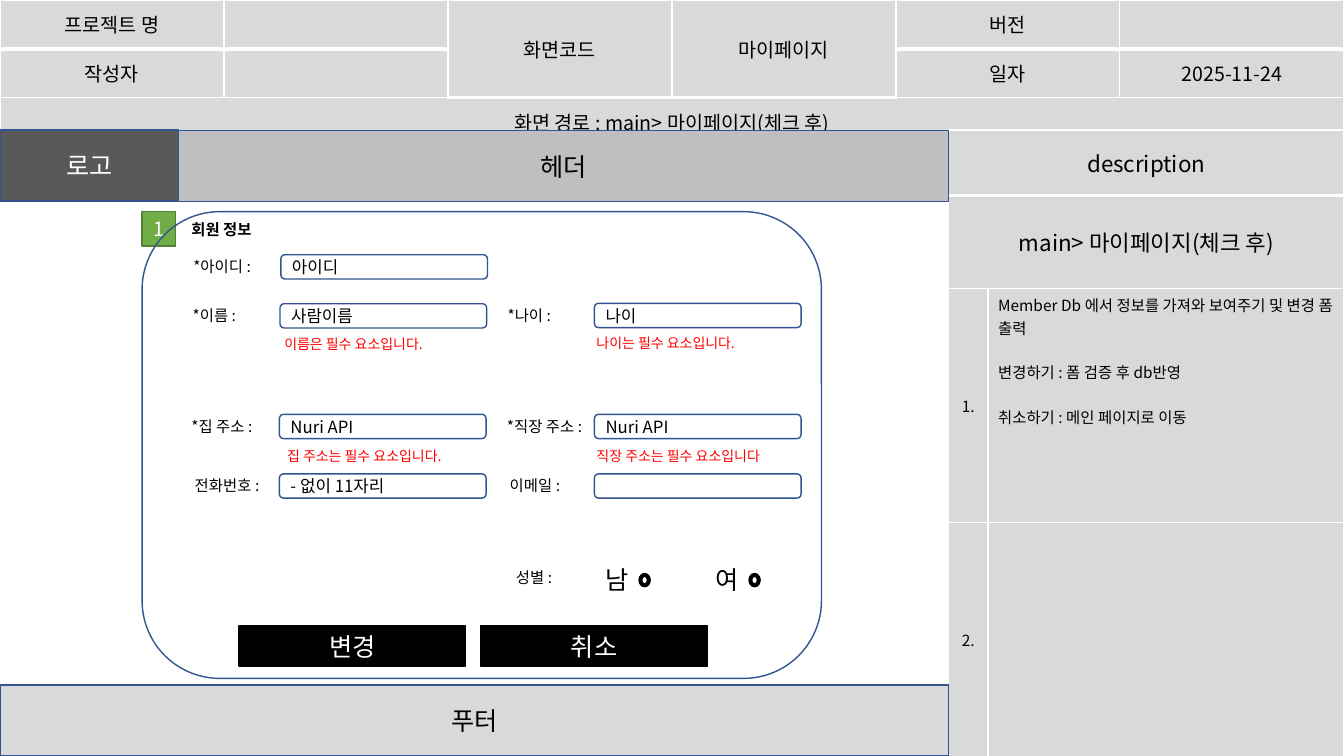
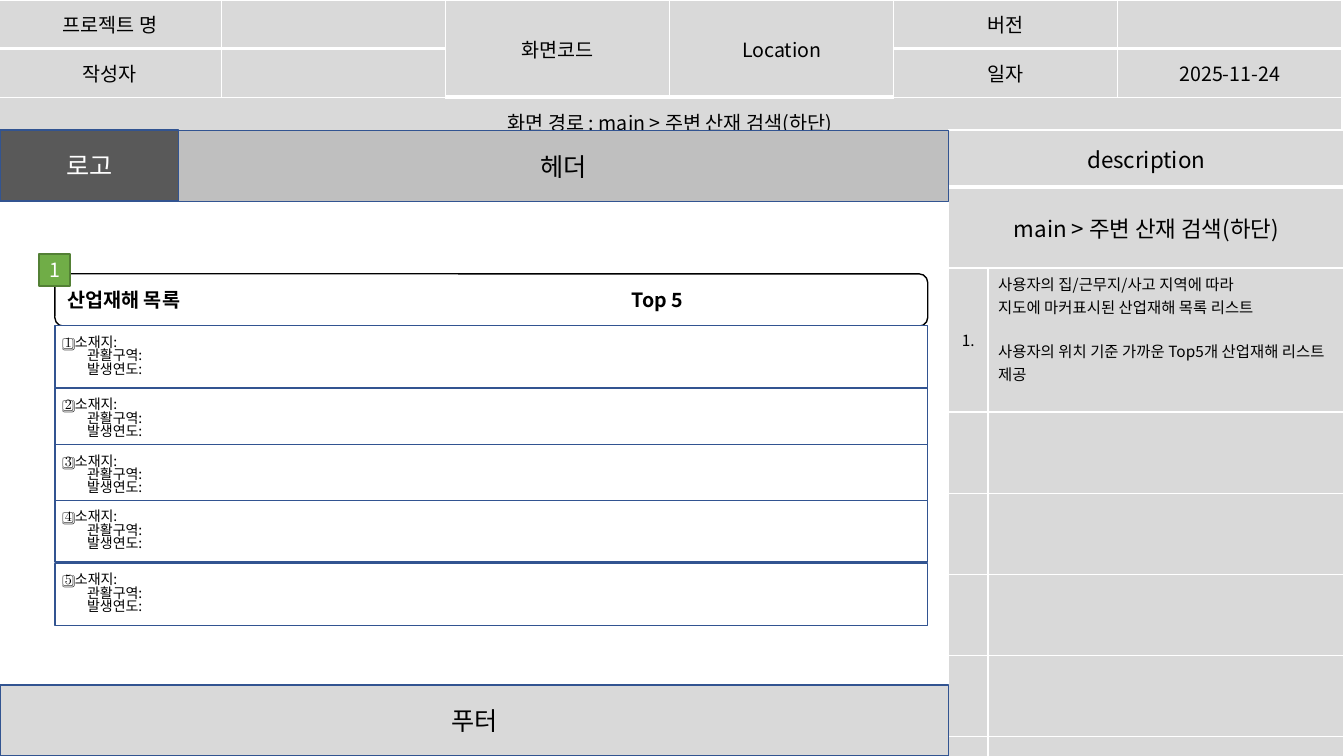
from dataclasses import dataclass

from lxml import etree
from pptx import Presentation
from pptx import util as u
from pptx.dml.color import RGBColor
from pptx.enum import shapes, text
from pptx.oxml import ns

Pt = u.Pt
Kind = shapes.MSO_SHAPE
Align = text.PP_ALIGN
Anchor = text.MSO_ANCHOR


@dataclass(frozen=True)
class Theme:
    font: str = "Noto Sans CJK KR"
    ink: str = "000000"
    paper: str = "FFFFFF"
    panel: str = "D9D9D9"
    header: str = "BFBFBF"
    logo: str = "595959"
    outline: str = "325491"
    badge: str = "70AD47"
    badge_line: str = "538035"
    error: str = "FF0000"
    big: int = 18
    heading: int = 16
    title: int = 14
    field: int = 12
    body: int = 11
    small: int = 10


THEME = Theme()


class Wireframe:
    """Holds the style, the deck and the current page."""

    def __init__(self, theme):
        self.theme = theme
        self.deck = Presentation()
        self.deck.slide_width, self.deck.slide_height = Pt(960), Pt(540)
        self.page = None

    def new_page(self):
        self.page = self.deck.slides.add_slide(self.deck.slide_layouts[6])

    # Text
    def fill_text(self, frame, lines, size, color=None, align=Align.LEFT,
                  bold=False, spacing=None, indent=0, tab=None):
        frame.word_wrap = True
        for index, line in enumerate(lines):
            para = frame.paragraphs[0] if index == 0 else frame.add_paragraph()
            formats = {"alignment": align, "line_spacing": spacing}
            for name, value in formats.items():
                setattr(para, name, value)
            properties = para._p.get_or_add_pPr()
            if index and indent:
                properties.set("marL", str(Pt(indent)))
            if tab:
                stops = etree.SubElement(properties, ns.qn("a:tabLst"))
                etree.SubElement(stops, ns.qn("a:tab"), pos=str(Pt(tab)), algn="l")
            span = para.add_run()
            span.text = line
            fonts = {"name": self.theme.font, "size": Pt(size), "bold": bold}
            for name, value in fonts.items():
                setattr(span.font, name, value)
            span.font.color.rgb = RGBColor.from_string(color or self.theme.ink)
            etree.SubElement(span._r.get_or_add_rPr(), ns.qn("a:ea"),
                             typeface=self.theme.font)

    def label(self, left, top, width, height, words, size, **style):
        box = self.page.shapes.add_textbox(Pt(left), Pt(top), Pt(width), Pt(height))
        self.fill_text(box.text_frame, [words], size, **style)

    # Shapes
    def shape(self, left, top, width, height, fill=None, line=None,
              kind=Kind.RECTANGLE, lines=(), size=THEME.big, **style):
        box = self.page.shapes.add_shape(kind, Pt(left), Pt(top), Pt(width), Pt(height))
        box.shadow.inherit = False
        if fill:
            box.fill.solid()
            box.fill.fore_color.rgb = RGBColor.from_string(fill)
        else:
            box.fill.background()
        box.line.color.rgb = RGBColor.from_string(line or self.theme.outline)
        box.line.width = Pt(1)
        box.text_frame.vertical_anchor = Anchor.MIDDLE
        self.fill_text(box.text_frame, lines, size, **style)

    def badge(self, left, top, width, height):
        self.shape(left, top, width, height, self.theme.badge, self.theme.badge_line,
                   lines=["1"], size=self.theme.title, color=self.theme.paper,
                   align=Align.CENTER)

    def field(self, left, top, words):
        self.shape(left, top, 147.6, 17.3, self.theme.paper,
                   kind=Kind.ROUNDED_RECTANGLE, lines=[words] if words else [],
                   size=self.theme.field)

    # Tables
    def border(self, cell, side, width):
        edge = etree.SubElement(cell._tc.get_or_add_tcPr(), ns.qn(f"a:ln{side}"),
                                w=str(Pt(width)))
        fill = etree.SubElement(edge, ns.qn("a:solidFill"))
        etree.SubElement(fill, ns.qn("a:srgbClr"), val=self.theme.paper)

    def table(self, left, top, columns, rows, merges):
        table = self.page.shapes.add_table(
            len(rows), len(columns), Pt(left), Pt(top),
            Pt(sum(columns)), Pt(sum(rows))).table
        table.first_row = table.horz_banding = False
        for column, width in zip(table.columns, columns):
            column.width = Pt(width)
        for row, height in zip(table.rows, rows):
            row.height = Pt(height)
        for first, last in merges:
            table.cell(*first).merge(table.cell(*last))
        for row in range(len(rows)):
            for column in range(len(columns)):
                cell = table.cell(row, column)
                self.border(cell, "L", 1)
                self.border(cell, "R", 1)
                if row == 0:
                    self.border(cell, "T", 1)
                self.border(cell, "B", 3 if row == 0 else 1)
                cell.fill.solid()
                cell.fill.fore_color.rgb = RGBColor.from_string(self.theme.panel)
        return table

    def cell(self, table, row, column, lines, size, margin=None,
             anchor=Anchor.MIDDLE, align=Align.CENTER, **style):
        cell = table.cell(row, column)
        cell.vertical_anchor = anchor
        if margin:
            for side in ("left", "right", "top", "bottom"):
                setattr(cell, f"margin_{side}", Pt(margin))
        self.fill_text(cell.text_frame, lines, size, align=align, **style)

    def project_table(self, left, code, route):
        table = self.table(left, 0, [160] * 6, [34.7] * 3,
                           [((0, 2), (1, 2)), ((0, 3), (1, 3)), ((2, 0), (2, 5))])
        words = {(0, 0): "프로젝트 명", (0, 2): "화면코드", (0, 3): code,
                 (0, 4): "버전", (1, 0): "작성자", (1, 4): "일자",
                 (1, 5): "2025-11-24", (2, 0): f"화면 경로 : {route}"}
        for (row, column), line in words.items():
            self.cell(table, row, column, [line], self.theme.title, margin=7.2)

    def description_table(self, route, rows, numbers, notes, gap_before):
        table = self.table(677.6, 92.9, [28.2, 254.2], rows,
                           [((0, 0), (0, 1)), ((1, 0), (1, 1))])
        for row, line in enumerate(["description", route]):
            self.cell(table, row, 0, [line], self.theme.heading)
        for row, number in enumerate(numbers, 2):
            self.cell(table, row, 0, [number], self.theme.body)
        self.cell(table, 2, 1, notes, self.theme.body,
                  anchor=Anchor.TOP, align=Align.LEFT)
        for index in gap_before:
            table.cell(2, 1).text_frame.paragraphs[index].space_before = Pt(16)

    # Site header, logo and footer
    def site_frame(self):
        theme = self.theme
        bands = [(127.6, 93.4, 550, theme.header, "헤더", theme.ink),
                 (0, 92.9, 127.6, theme.logo, "로고", theme.paper),
                 (0, 489.4, 677.6, theme.panel, "푸터", theme.ink)]
        for left, top, width, fill, words, color in bands:
            self.shape(left, top, width, 50.6, fill, lines=[words],
                       color=color, align=Align.CENTER)


def member_page(wire):
    theme, route = wire.theme, "main> 마이페이지(체크 후)"
    wire.new_page()
    wire.project_table(0, "마이페이지", route)
    wire.description_table(
        route, [46.8, 66.6, 167, 167], ["1.", "2."],
        ["Member Db 에서 정보를 가져와 보여주기 및 변경 폼 출력",
         "변경하기 : 폼 검증 후 db반영", "취소하기 : 메인 페이지로 이동"], [1, 2])
    wire.site_frame()
    wire.badge(101.5, 151.2, 23.8, 24.6)
    wire.label(129.6, 153.4, 80, 21, "회원 정보", theme.body, bold=True)

    # Form: label, label left, field left, top, value
    fields = [("*아이디 :", 131, 200.6, 182, "아이디"),
              ("*이름 :", 130.5, 200, 217, "사람이름"),
              ("*나이 :", 355.5, 424.6, 216.7, "나이"),
              ("*집 주소 :", 129.6, 199.6, 296, "Nuri API"),
              ("*직장 주소 :", 355, 424.6, 296, "Nuri API"),
              ("전화번호 :", 132, 199.6, 338.5, "- 없이 11자리"),
              ("이메일 :", 357, 424.6, 338.5, "")]
    for words, label_left, field_left, top, value in fields:
        wire.field(field_left, top, value)
        wire.label(label_left, top - 1.7, 80, 21, words, theme.body)

    errors = [("이름은 필수 요소입니다.", 196, 236.2),
              ("나이는 필수 요소입니다.", 419, 235.6),
              ("집 주소는 필수 요소입니다.", 198, 316),
              ("직장 주소는 필수 요소입니다", 419, 316)]
    for words, left, top in errors:
        wire.label(left, top, 155, 19.4, words, theme.small, color=theme.error)

    # Gender choice, form outline and buttons
    wire.label(361.4, 402.5, 68, 21, "성별 :", theme.body)
    for words, left in [("남", 425.5), ("여", 504)]:
        wire.label(left, 399.6, 40, 29, words, theme.big)
        wire.shape(left + 31, 409.7, 8, 9.4, theme.ink, theme.ink, Kind.DONUT)
    wire.shape(101.5, 151.2, 485.3, 333.4, kind=Kind.ROUNDED_RECTANGLE)
    for words, left in [("변경", 170.6), ("취소", 343.4)]:
        wire.shape(left, 447.1, 162, 28.8, theme.ink, theme.ink, lines=[words],
                   color=theme.paper, align=Align.CENTER)


def location_page(wire):
    theme, route = wire.theme, "main > 주변 산재 검색(하단)"
    wire.new_page()
    wire.project_table(-1.5, "Location", route)
    wire.description_table(
        route, [40.5, 58, 103] + [58] * 5, ["1."],
        ["사용자의 집/근무지/사고 지역에 따라",
         "지도에 마커표시된 산업재해 목록 리스트",
         "사용자의 위치 기준 가까운 Top5개 산업재해 리스트 제공"], [2])
    wire.site_frame()

    # Top five list
    wire.shape(39.2, 195.6, 623.5, 37.4, theme.paper, theme.ink,
               Kind.ROUNDED_RECTANGLE, ["산업재해 목록\tTop 5"], theme.title,
               bold=True, tab=403)
    for number, top in enumerate([232.6, 277.2, 317.5, 357.4, 402.4], 1):
        wire.shape(39.2, top, 623.5, 44.2, theme.paper,
                   lines=[f"{number}️⃣ 소재지:", "관활구역:", "발생연도:"],
                   size=theme.small, spacing=0.8, indent=16)
    wire.badge(28, 181.4, 22, 23)


def main():
    wire = Wireframe(THEME)
    member_page(wire)
    location_page(wire)
    wire.deck.save("out.pptx")


if __name__ == "__main__":
    main()
